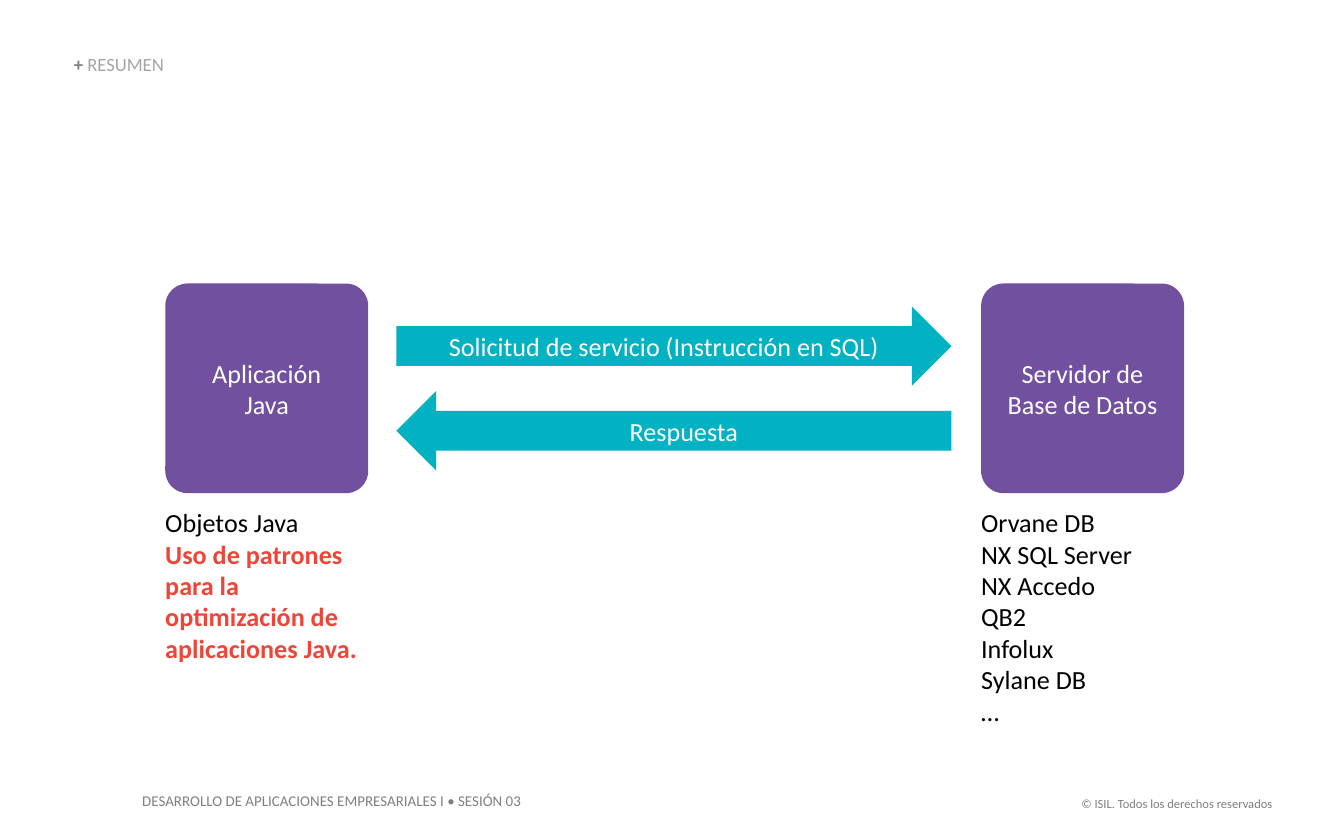
from pptx import Presentation, util as u
from pptx.dml.color import RGBColor
from pptx.enum import shapes, text

COLORS = {"purple": "7150A0", "teal": "00B2C2", "red": "EE4539", "white": "FFFFFF",
          "black": "000000", "gray": "7F7F7F", "light": "A5A5A5"}
LEFT_X, RIGHT_X = 1.23, 7.3
BOX_Y, BOX_W, BOX_H = 2.11, 1.51, 1.56
ARROW_X, ARROW_Y, ARROW_W, ARROW_H, ARROW_STEP = 2.95, 2.28, 4.13, 0.59, 0.63
MSO, AL, ANCHOR = shapes.MSO_SHAPE, text.PP_ALIGN, text.MSO_ANCHOR


def style(r, size, color, bold=False):
    r.font.name = "Calibri"
    r.font.size = u.Pt(size)
    r.font.bold = bold
    r.font.color.rgb = RGBColor.from_string(COLORS[color])


def write(sp, content, size, color, align, anchor, pad_x, pad_y):
    tf = sp.text_frame
    tf.text = content
    tf.word_wrap = True
    tf.auto_size = text.MSO_AUTO_SIZE.NONE
    tf.vertical_anchor = anchor
    tf.margin_left = tf.margin_right = u.Inches(pad_x)
    tf.margin_top = tf.margin_bottom = u.Inches(pad_y)
    for p in tf.paragraphs:
        p.alignment = align
        for r in p.runs:
            style(r, size, color)
    return tf


prs = Presentation()
prs.slide_width, prs.slide_height = u.Inches(10), u.Inches(6.25)
s = prs.slides.add_slide(prs.slide_layouts[5])

title = s.shapes.title
title.left, title.top = u.Inches(0.55), u.Inches(0.41)
title.width, title.height = u.Inches(6.81), u.Inches(0.15)
tf = write(title, "+ ", 10, "gray", AL.LEFT, ANCHOR.BOTTOM, 0, 0)
p = tf.paragraphs[0]
p.line_spacing = 0.9
p.runs[0].font.bold = True
r = p.add_run()
r.text = "RESUMEN"
style(r, 10, "light")

footers = [
    (7.92, 5.87, 1.65, 0.21, "© ISIL. Todos los derechos reservados", 6.7, AL.RIGHT),
    (0.96, 5.84, 3.03, 0.24, "DESARROLLO DE APLICACIONES EMPRESARIALES I • SESIÓN 03", 8, AL.LEFT),
]
for x, y, w, h, content, size, align in footers:
    sp = s.shapes.add_textbox(u.Inches(x), u.Inches(y), u.Inches(w), u.Inches(h))
    write(sp, content, size, "gray", align, ANCHOR.TOP, 0.1, 0.05)

nodes = [
    (MSO.ROUNDED_RECTANGLE, LEFT_X, BOX_Y, BOX_W, BOX_H, "purple", "Aplicación\nJava"),
    (MSO.ROUNDED_RECTANGLE, RIGHT_X, BOX_Y, BOX_W, BOX_H, "purple", "Servidor de Base de Datos"),
    (MSO.RIGHT_ARROW, ARROW_X, ARROW_Y, ARROW_W, ARROW_H, "teal",
     "Solicitud de servicio (Instrucción en SQL)"),
    (MSO.LEFT_ARROW, ARROW_X, ARROW_Y + ARROW_STEP, ARROW_W, ARROW_H, "teal", "Respuesta"),
]
for kind, x, y, w, h, fill, content in nodes:
    sp = s.shapes.add_shape(kind, u.Inches(x), u.Inches(y), u.Inches(w), u.Inches(h))
    sp.shadow.inherit = False
    sp.fill.solid()
    sp.fill.fore_color.rgb = RGBColor.from_string(COLORS[fill])
    sp.line.fill.background()
    if kind == MSO.ROUNDED_RECTANGLE:
        sp.adjustments[0] = 0.11
    write(sp, content, 14, "white", AL.CENTER, ANCHOR.MIDDLE, 0.07, 0.04)

java_notes = ["Objetos Java", "Uso de patrones para la optimización de aplicaciones Java."]
databases = ["Orvane DB", "NX SQL Server", "NX Accedo", "QB2", "Infolux", "Sylane DB", "…"]
for x, h, lines in [(LEFT_X, 1.18, java_notes), (RIGHT_X, 1.65, databases)]:
    sp = s.shapes.add_textbox(u.Inches(x), u.Inches(3.77), u.Inches(1.5), u.Inches(h))
    tf = write(sp, "\n".join(lines), 14, "black", AL.LEFT, ANCHOR.TOP, 0, 0)
    if lines is java_notes:
        style(tf.paragraphs[1].runs[0], 14, "red", True)

prs.save("out.pptx")
